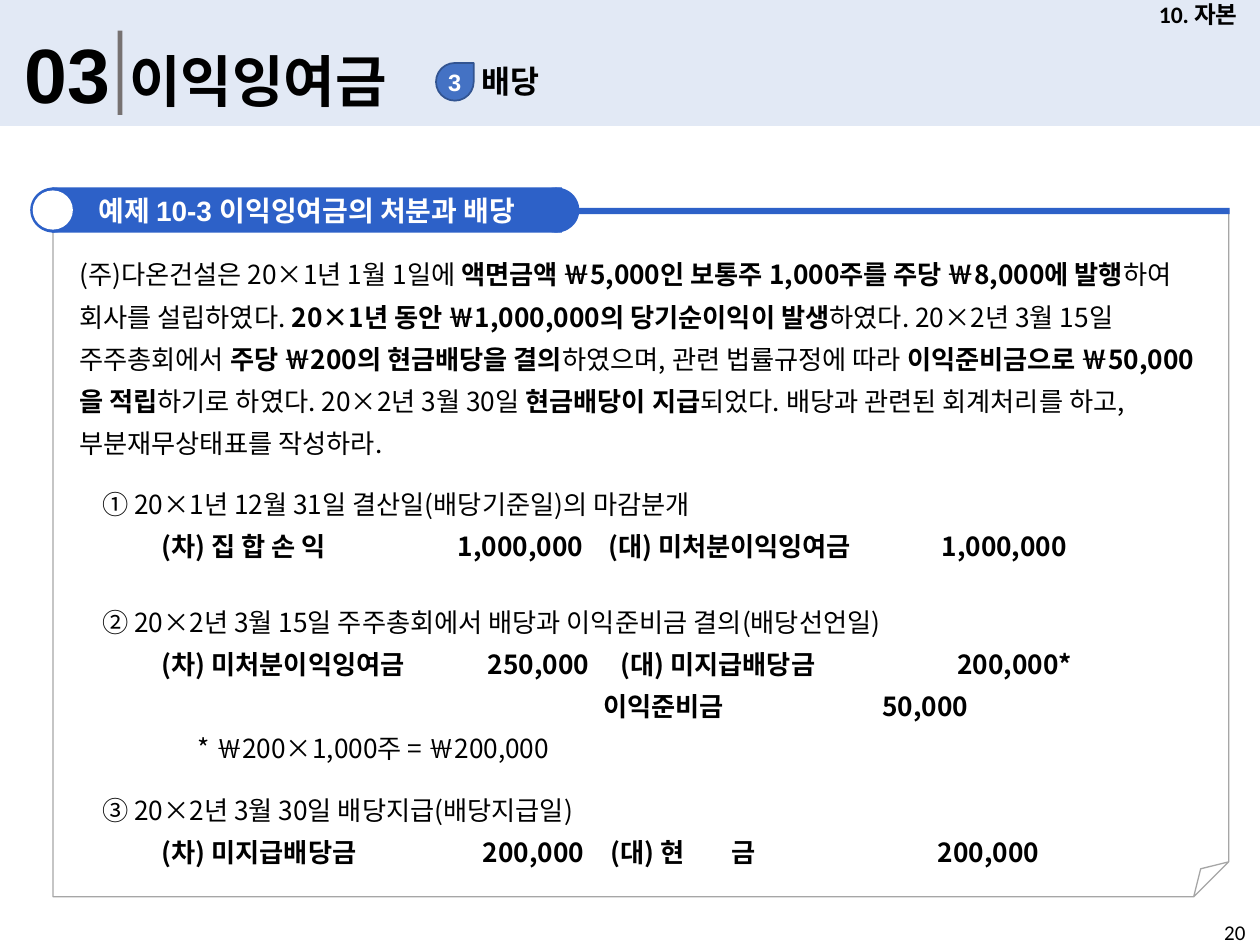
from lxml import etree
from pptx import Presentation
from pptx.dml.color import RGBColor
from pptx.enum.shapes import MSO_SHAPE
from pptx.enum.text import MSO_ANCHOR, PP_ALIGN
from pptx.oxml.ns import qn
from pptx.util import Cm, Pt

RECT, OVAL = MSO_SHAPE.RECTANGLE, MSO_SHAPE.OVAL
TEAR, FOLDED = MSO_SHAPE.TEAR, MSO_SHAPE.FOLDED_CORNER
TOP, MIDDLE = MSO_ANCHOR.TOP, MSO_ANCHOR.MIDDLE
LEFT, CENTER = PP_ALIGN.LEFT, PP_ALIGN.CENTER

COLORS = {
    "band": "DAE3F3", "bar": "767171", "badge": "4472C4", "badge_line": "325491",
    "blue": "2D61C8", "frame": "A6A6A6", "black": "000000", "white": "FFFFFF",
}
KOREAN = "Noto Sans CJK KR"

PROBLEM = (
    "(주)다온건설은 20×1년 1월 1일에 |액면금액 ￦5,000인 보통주 1,000주를 주당 ￦8,000에 발행|"
    "하여 회사를 설립하였다. |20×1년 동안 ￦1,000,000의 당기순이익이 발생|"
    "하였다. 20×2년 3월 15일 주주총회에서 |주당 ￦200의 현금배당을 결의|"
    "하였으며, 관련 법률규정에 따라 |이익준비금으로 ￦50,000을 적립|"
    "하기로 하였다. 20×2년 3월 30일 |현금배당이 지급|"
    "되었다. 배당과 관련된 회계처리를 하고, 부분재무상태표를 작성하라."
)
ENTRIES = [
    (9.5, 1.98, [
        ("① 20×1년 12월 31일 결산일(배당기준일)의 마감분개", ()),
        ("|\t(차) 집 합 손 익\t1,000,000\t(대) 미처분이익잉여금\t1,000,000",
         ("l1.2", "r9.7", "l10.2", "r19.45")),
    ]),
    (11.89, 3.78, [
        ("② 20×2년 3월 15일 주주총회에서 배당과 이익준비금 결의(배당선언일)", ()),
        ("|\t(차) 미처분이익잉여금\t250,000\t(대) 미지급배당금\t200,000*",
         ("l1.2", "r9.82", "l10.45", "r19.55")),
        ("|\t이익준비금\t50,000", ("l10.1", "r17.46")),
        ("\t* ￦200×1,000주 = ￦200,000", ("l1.93",)),
    ]),
    (15.67, 2.24, [
        ("③ 20×2년 3월 30일 배당지급(배당지급일)", ()),
        ("|\t(차) 미지급배당금\t200,000\t(대) 현\t금\t200,000",
         ("l1.2", "r9.72", "l10.24", "l12.68", "r18.89")),
    ]),
]


class Deck:
    """Hold the style and the current slide."""

    def __init__(self):
        self.prs = Presentation()
        self.prs.slide_width, self.prs.slide_height = Cm(25.4), Cm(19.05)
        self.s = self.prs.slides.add_slide(self.prs.slide_layouts[6])

    def shape(self, kind, box, fill=None, line=None, width=0.75, alpha=None):
        sp = self.s.shapes.add_shape(kind, *map(Cm, box))
        sp.shadow.inherit = False
        if fill:
            sp.fill.solid()
            sp.fill.fore_color.rgb = RGBColor.from_string(COLORS[fill])
        else:
            sp.fill.background()
        if alpha:
            color = sp.fill._xPr.find(".//" + qn("a:srgbClr"))
            etree.SubElement(color, qn("a:alpha")).set("val", str(alpha * 1000))
        if line:
            sp.line.color.rgb = RGBColor.from_string(COLORS[line])
            sp.line.width = Pt(width)
        else:
            sp.line.fill.background()
        return sp

    def folded(self, box, line, fold):
        sp = self.shape(FOLDED, box, line=line)
        guides = sp._element.spPr.find(".//" + qn("a:avLst"))
        guide = etree.SubElement(guides, qn("a:gd"))
        guide.set("name", "adj")
        guide.set("fmla", f"val {fold}")

    def font(self, r, size, name, color, bold):
        r.font.size, r.font.name, r.font.bold = Pt(size), name, bold
        r.font.color.rgb = RGBColor.from_string(COLORS[color])
        etree.SubElement(r._r.get_or_add_rPr(), qn("a:ea")).set("typeface", KOREAN)

    def label(self, sp, runs, size, color="black", bold=True, align=CENTER, anchor=MIDDLE):
        tf = sp.text_frame
        tf.word_wrap, tf.vertical_anchor = True, anchor
        p = tf.paragraphs[0]
        p.alignment = align
        for text, name in runs:
            r = p.add_run()
            r.text = text
            self.font(r, size, name, color, bold)

    def text(self, box, text, size, name="Calibri", **style):
        sp = self.s.shapes.add_textbox(*map(Cm, box))
        self.label(sp, [(text, name)], size, **{"align": LEFT, "anchor": TOP, **style})
        return sp

    def tabs(self, p, stops):
        tab_list = etree.SubElement(p._p.get_or_add_pPr(), qn("a:tabLst"))
        for stop in stops:
            tab = etree.SubElement(tab_list, qn("a:tab"))
            tab.set("pos", str(Cm(float(stop[1:]))))
            tab.set("algn", stop[0])

    def body(self, box, lines):
        tf = self.s.shapes.add_textbox(*map(Cm, box)).text_frame
        tf.word_wrap = True
        tf.margin_left = tf.margin_right = Cm(0.28)
        for i, (line, stops) in enumerate(lines):
            p = tf.add_paragraph() if i else tf.paragraphs[0]
            if stops:
                self.tabs(p, stops)
            p.line_spacing = Pt(24)
            for j, part in enumerate(line.split("|")):
                if part:
                    r = p.add_run()
                    r.text = part
                    self.font(r, 15, KOREAN, "black", j % 2 == 1)


def main():
    deck = Deck()
    deck.shape(RECT, (0, 0, 25.4, 2.54), "band", alpha=76)
    deck.text((0.25, 0.41, 2.31, 2.13), "03", 44, "Arial")
    deck.shape(RECT, (2.37, 0.62, 0.1, 1.7), "bar")
    deck.text((2.36, 0.81, 15.72, 1.63), "이익잉여금", 32)
    sp = deck.text((22.91, 0, 2.49, 0.58), "10. 자본", 13.5, align=CENTER, anchor=MIDDLE)
    sp.text_frame.margin_left = sp.text_frame.margin_right = 0
    deck.text((9.45, 1.12, 8.66, 1.02), "배당", 18)
    badge = deck.shape(TEAR, (8.79, 1.27, 0.76, 0.76), "badge", "badge_line", 1)
    deck.label(badge, [("3", "Arial")], 13.5, "white")
    badge.text_frame.word_wrap = False

    deck.folded((1.07, 4.24, 23.7, 13.84), "frame", 5100)
    deck.shape(RECT, (1.09, 4.19, 23.7, 0.13), "blue")
    for x in (0.61, 10.74):
        deck.shape(OVAL, (x, 3.78, 0.94, 0.91), "blue")
    title = deck.shape(RECT, (1.04, 3.78, 10.29, 0.91), "blue")
    deck.label(title, [("예제 ", "Calibri"), ("10-3 ", "Arial"),
                       ("이익잉여금의 처분과 배당", "Calibri")], 16, "white")
    deck.shape(OVAL, (0.66, 3.84, 0.81, 0.79), "white")

    deck.body((1.32, 4.88, 23.47, 4.45), [(PROBLEM, ())])
    for top, height, lines in ENTRIES:
        deck.body((1.78, top, 21.59, height), lines)
    page = deck.text((24.43, 18.41, 0.97, 0.64), "20", 12, bold=False)
    page.text_frame.margin_right = 0
    deck.prs.save("out.pptx")


if __name__ == "__main__":
    main()
